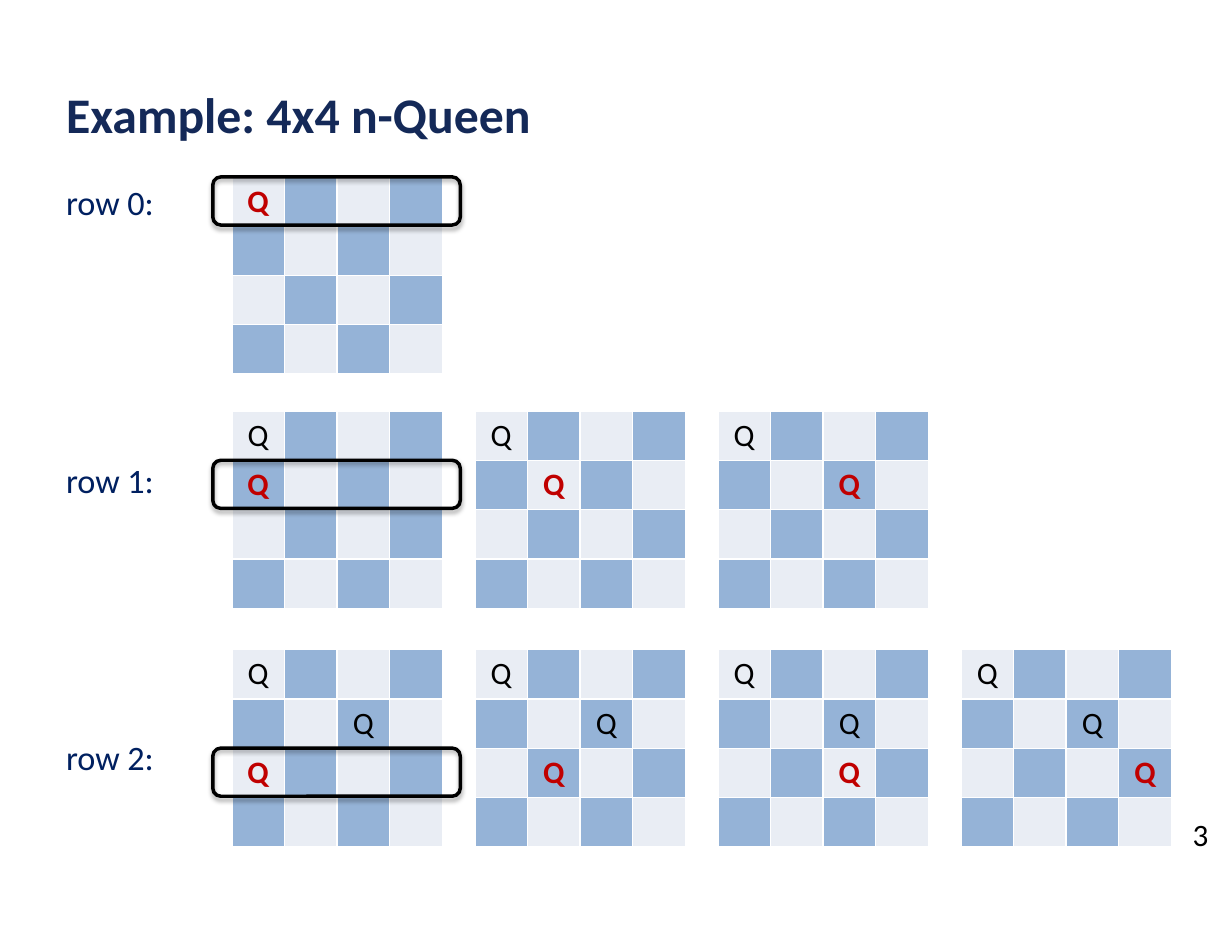
from dataclasses import dataclass

from lxml import etree
from pptx import Presentation
from pptx.dml.color import RGBColor
from pptx.enum.shapes import MSO_SHAPE
from pptx.enum.text import MSO_ANCHOR, MSO_AUTO_SIZE, PP_ALIGN
from pptx.oxml import parse_xml
from pptx.oxml.ns import nsdecls, qn
from pptx.util import Inches, Pt

ROUNDED = MSO_SHAPE.ROUNDED_RECTANGLE
TOP = MSO_ANCHOR.TOP
NO_AUTOFIT = MSO_AUTO_SIZE.NONE
LEFT, CENTER = PP_ALIGN.LEFT, PP_ALIGN.CENTER

SLIDE_W, SLIDE_H = 11, 8.5
SIZE = 4
SQUARE_W, SQUARE_H = 0.47, 0.44
BOARD_LEFT, BOARD_PITCH = 2.07, 2.17
MARKER_LEFT, MARKER_W, MARKER_H = 1.9, 2.21, 0.43
LABEL_GAP = 152

# Each stage: top of its boards, queens already placed, columns tried next.
STAGES = [
    (1.58, [], [0]),
    (3.67, [0], [0, 1, 2]),
    (5.8, [0, 2], [0, 1, 2, 3]),
]


@dataclass(frozen=True)
class Theme:
    """Colours, font and type sizes of the slide."""

    font: str = "Calibri"
    title: str = "142958"
    label: str = "002060"
    ink: str = "000000"
    tried: str = "C00000"
    light: str = "E9EDF4"
    dark: str = "95B3D7"
    grid: str = "FFFFFF"
    title_size: int = 32
    label_size: int = 22
    queen_size: int = 20


THEME = Theme()


def write(paragraph, text, size=THEME.queen_size, color=THEME.ink,
          bold=False, align=LEFT, before=0):
    """Put formatted text in a paragraph."""
    paragraph.alignment = align
    paragraph.space_before = Pt(before)
    run = paragraph.add_run()
    run.text = text
    run.font.name = THEME.font
    run.font.size = Pt(size)
    run.font.bold = bold
    run.font.color.rgb = RGBColor.from_string(color)


def place(placeholder, left, top, width, height):
    """Move a placeholder and return its top-anchored text frame."""
    placeholder.left, placeholder.top = Inches(left), Inches(top)
    placeholder.width, placeholder.height = Inches(width), Inches(height)
    frame = placeholder.text_frame
    frame.auto_size = NO_AUTOFIT
    frame.vertical_anchor = TOP
    return frame


def add_row_labels(frame):
    """Write one evenly spaced, unbulleted label for each stage."""
    for row in range(len(STAGES)):
        label = frame.add_paragraph() if row else frame.paragraphs[0]
        write(label, f"row {row}:", size=THEME.label_size, color=THEME.label,
              before=LABEL_GAP if row else 0)
        properties = label._p.get_or_add_pPr()
        properties.set("marL", "0")
        properties.set("indent", "0")
        etree.SubElement(properties, qn("a:buNone"))


def style_square(square, color):
    """Give a board square its grid lines and fill."""
    properties = square._tc.get_or_add_tcPr()
    for side in ("lnL", "lnR", "lnT", "lnB"):
        properties.append(parse_xml(
            f'<a:{side} {nsdecls("a")} w="{Pt(1)}"><a:solidFill>'
            f'<a:srgbClr val="{THEME.grid}"/></a:solidFill></a:{side}>'))
    square.fill.solid()
    square.fill.fore_color.rgb = RGBColor.from_string(color)


def add_board(slide, left, top, placed, tried):
    """Draw a chessboard with placed queens and the one being tried."""
    board = slide.shapes.add_table(
        SIZE, SIZE, Inches(left), Inches(top),
        Inches(SIZE * SQUARE_W), Inches(SIZE * SQUARE_H)).table
    board.first_row = board.horz_banding = False
    queens = dict(enumerate(placed + [tried]))
    for row in range(SIZE):
        for column in range(SIZE):
            square = board.cell(row, column)
            style_square(square, THEME.dark if (row + column) % 2 else THEME.light)
            if queens.get(row) == column:
                newest = row == len(placed)
                write(square.text_frame.paragraphs[0], "Q", align=CENTER,
                      color=THEME.tried if newest else THEME.ink, bold=newest)


def add_marker(slide, top):
    """Outline the board row under examination with a soft shadow."""
    marker = slide.shapes.add_shape(
        ROUNDED, Inches(MARKER_LEFT), Inches(top),
        Inches(MARKER_W), Inches(MARKER_H))
    marker.fill.background()
    marker.line.color.rgb = RGBColor.from_string(THEME.ink)
    marker.line.width = Pt(2.25)
    marker._element.spPr.append(parse_xml(
        f'<a:effectLst {nsdecls("a")}><a:outerShdw blurRad="{Pt(3.1)}" '
        f'dist="{Pt(1.8)}" dir="5400000" rotWithShape="0">'
        f'<a:srgbClr val="{THEME.ink}"><a:alpha val="35000"/></a:srgbClr>'
        '</a:outerShdw></a:effectLst>'))


def add_page_number(slide, number):
    """Write the page number in the lower right corner."""
    corner = slide.shapes.add_textbox(
        Inches(10.55), Inches(7.23), Inches(0.34), Inches(0.44))
    corner.text_frame.word_wrap = False
    write(corner.text_frame.paragraphs[0], number)


def main():
    """Build and save the slide."""
    deck = Presentation()
    deck.slide_width, deck.slide_height = Inches(SLIDE_W), Inches(SLIDE_H)
    slide = deck.slides.add_slide(deck.slide_layouts[1])
    title, labels = slide.placeholders
    heading = place(title, 0.49, 0.7, 10.11, 0.81)
    write(heading.paragraphs[0], "Example: 4x4 n-Queen",
          size=THEME.title_size, color=THEME.title, bold=True)
    add_row_labels(place(labels, 0.49, 1.57, 10.11, 5.28))
    for top, placed, candidates in STAGES:
        for position, tried in enumerate(candidates):
            add_board(slide, BOARD_LEFT + position * BOARD_PITCH, top, placed, tried)
    add_page_number(slide, "3")
    for top, placed, _ in STAGES:
        add_marker(slide, top + len(placed) * SQUARE_H)
    deck.save("out.pptx")


if __name__ == "__main__":
    main()
